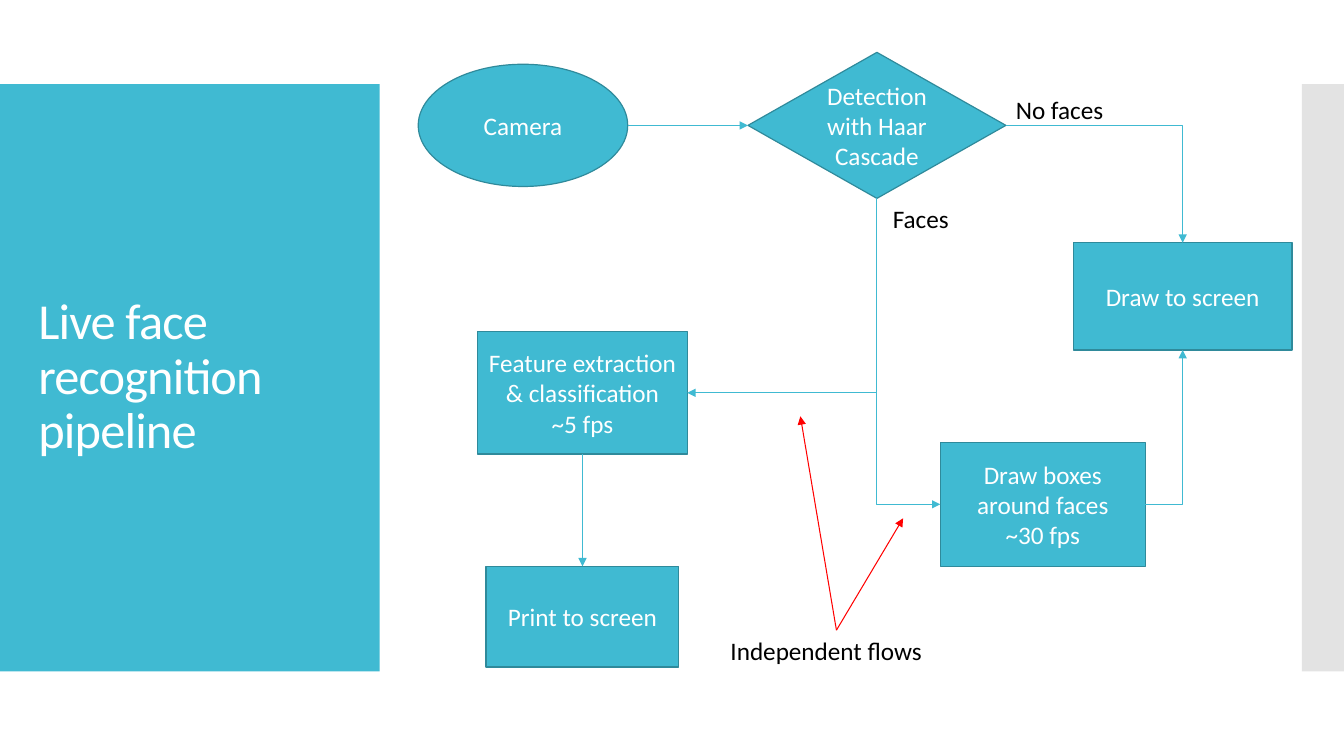
from lxml.etree import SubElement
from pptx import Presentation
from pptx.dml.color import RGBColor
from pptx.enum.shapes import MSO_CONNECTOR, MSO_SHAPE
from pptx.enum.text import MSO_ANCHOR, MSO_AUTO_SIZE, PP_ALIGN
from pptx.oxml.ns import qn
from pptx.util import Cm, Pt

HUES = {"teal": "40BAD2", "edge": "2F8A9B", "grey": "E3E3E3",
        "white": "FFFFFF", "black": "000000", "red": "FF0000"}
FONT = "Calibri"


def hue(name):
    """Return the named colour."""
    return RGBColor.from_string(HUES[name])


def style(frame, size, color, align):
    """Format every paragraph of a text frame."""
    frame.word_wrap = True
    for para in frame.paragraphs:
        para.alignment = align
        para.font.name = FONT
        para.font.size = Pt(size)
        para.font.color.rgb = hue(color)


def block(slide, kind, box, fill, edge=None):
    """Add a filled preset shape."""
    shape = slide.shapes.add_shape(kind, *map(Cm, box))
    shape.shadow.inherit = False
    shape.fill.solid()
    shape.fill.fore_color.rgb = hue(fill)
    if edge:
        shape.line.color.rgb = hue(edge)
        shape.line.width = Pt(0.85)
    else:
        shape.line.fill.background()
    return shape


def node(slide, kind, box, text):
    """Add one captioned step of the flow."""
    shape = block(slide, kind, box, "teal", "edge")
    frame = shape.text_frame
    frame.text = text
    frame.vertical_anchor = MSO_ANCHOR.MIDDLE
    style(frame, 18, "white", PP_ALIGN.CENTER)
    return shape


def label(slide, box, text):
    """Add a plain black caption."""
    frame = slide.shapes.add_textbox(*map(Cm, box)).text_frame
    frame.text = text
    style(frame, 18, "black", PP_ALIGN.LEFT)


def arrow(slide, start, stop, color="teal", bent=False, tip="tailEnd"):
    """Join two ends, each a point in cm or a shape with its site."""
    kind = MSO_CONNECTOR.ELBOW if bent else MSO_CONNECTOR.STRAIGHT
    ends = [(0, 0) if hasattr(end[0], "shape_id") else end
            for end in (start, stop)]
    line = slide.shapes.add_connector(kind, *map(Cm, ends[0] + ends[1]))
    if ends[0] != start:
        line.begin_connect(*start)
    if ends[1] != stop:
        line.end_connect(*stop)
    line.line.color.rgb = hue(color)
    line.line.width = Pt(0.75)
    props = line._element.spPr
    if bent:
        props.find(qn("a:prstGeom")).set("prst", "bentConnector2")
    SubElement(props.find(qn("a:ln")), qn("a:" + tip), type="triangle")
    SubElement(props, qn("a:effectLst"))


def panel(slide, x, y, w, h):
    """Place the title on its teal panel."""
    block(slide, MSO_SHAPE.RECTANGLE, (x, y, w, h), "teal")
    title = slide.shapes.title
    slide.shapes._spTree.append(title._element)
    title.left, title.top = Cm(x + 0.71), Cm(y + 1)
    title.width, title.height = Cm(w - 1.4), Cm(h - 2)
    frame = title.text_frame
    frame.text = "Live face recognition pipeline"
    frame.auto_size = MSO_AUTO_SIZE.NONE
    frame.vertical_anchor = MSO_ANCHOR.MIDDLE
    style(frame, 36, "white", PP_ALIGN.LEFT)
    para = frame.paragraphs[0]
    para.line_spacing = 0.9
    para.runs[0]._r.get_or_add_rPr().set("spc", "-60")


def flow(slide, x, y):
    """Draw the pipeline from its top left corner."""
    rect = MSO_SHAPE.RECTANGLE
    top, left, base, right = range(4)

    def step(kind, dx, dy, w, h, text):
        """Add a step at an offset from the corner."""
        return node(slide, kind, (x + dx, y + dy, w, h), text)

    step(MSO_SHAPE.OVAL, 0, 0.3, 5.28, 3.08, "Camera")
    detect = step(MSO_SHAPE.DIAMOND, 8.31, 0, 6.5, 3.68,
                  "Detection with Haar Cascade")
    screen = step(rect, 16.51, 4.8, 5.51, 2.7, "Draw to screen")
    boxes = step(rect, 13.16, 9.83, 5.16, 3.12,
                 "Draw boxes around faces\n~30 fps")
    sort = step(rect, 1.5, 7.04, 5.28, 3.08,
                "Feature extraction & classification\n~5 fps")
    show = step(rect, 1.71, 12.95, 4.86, 2.54, "Print to screen")

    arrow(slide, (x + 5.28, y + 1.84), (detect, left))
    arrow(slide, (sort, base), (show, top))
    for start, stop, tip in (
            ((detect, right), (screen, top), "tailEnd"),
            ((boxes, right), (screen, base), "tailEnd"),
            ((boxes, left), (detect, base), "headEnd"),
            ((sort, right), (detect, base), "headEnd")):
        arrow(slide, start, stop, bent=True, tip=tip)

    for dx, dy, w, text in ((14.81, 0.94, 3.18, "No faces"),
                            (11.71, 3.68, 2.95, "Faces"),
                            (7.62, 14.56, 5.82, "Independent flows")):
        label(slide, (x + dx, y + dy, w, 1.02), text)
    for dx, dy in ((12.22, 11.74), (9.63, 9.17)):
        arrow(slide, (x + 10.54, y + 14.56), (x + dx, y + dy), "red")


def main():
    """Build and save the slide."""
    deck = Presentation()
    deck.slide_width, deck.slide_height = Cm(33.87), Cm(19.05)
    slide = deck.slides.add_slide(deck.slide_layouts[5])
    panel(slide, 0, 2.12, 9.57, 14.8)
    block(slide, MSO_SHAPE.RECTANGLE, (32.81, 2.12, 1.06, 14.8), "grey")
    flow(slide, 10.54, 1.32)
    deck.save("out.pptx")


if __name__ == "__main__":
    main()
